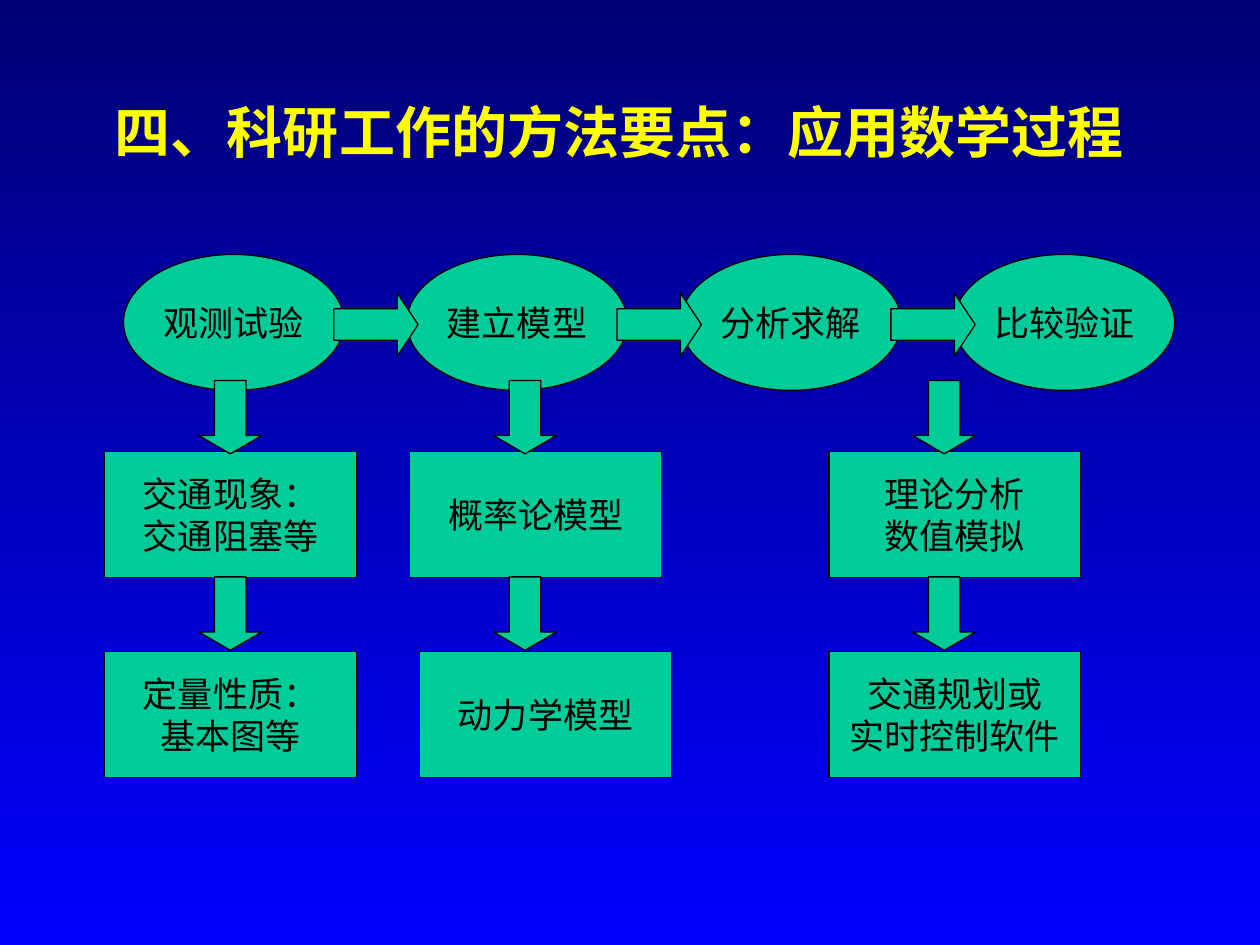
from dataclasses import dataclass

from pptx import Presentation
from pptx.dml.color import RGBColor
from pptx.enum.shapes import MSO_SHAPE as Shape
from pptx.enum.text import MSO_ANCHOR, MSO_AUTO_SIZE, PP_ALIGN
from pptx.util import Cm, Pt


@dataclass(frozen=True)
class Theme:
    font: str = "Times New Roman"
    title_size: int = 32
    label_size: int = 20
    title: str = "FFFF00"
    text: str = "000000"
    fill: str = "00CC99"
    line: str = "000000"
    sky: tuple = ("000075", "0000FF")


theme = Theme()


def write(tf, text, size=theme.label_size, color=theme.text, bold=False, wrap=False):
    """Fill a text frame with centred text, one paragraph per line."""
    tf.word_wrap = wrap
    tf.auto_size = MSO_AUTO_SIZE.NONE
    tf.vertical_anchor = MSO_ANCHOR.MIDDLE
    for i, line in enumerate(text.split("\n")):
        p = tf.paragraphs[0] if i == 0 else tf.add_paragraph()
        p.alignment = PP_ALIGN.CENTER
        r = p.add_run()
        r.text = line
        r.font.name = theme.font
        r.font.size = Pt(size)
        r.font.bold = bold
        r.font.color.rgb = RGBColor.from_string(color)


def add_block(kind, x, y, w, h, text=None, adjustments=()):
    """Add a green outlined shape; lengths are in centimetres."""
    sp = s.shapes.add_shape(kind, Cm(x), Cm(y), Cm(w), Cm(h))
    sp.shadow.inherit = False
    sp.fill.solid()
    sp.fill.fore_color.rgb = RGBColor.from_string(theme.fill)
    sp.line.color.rgb = RGBColor.from_string(theme.line)
    sp.line.width = Pt(0.75)
    for i, value in enumerate(adjustments):
        sp.adjustments[i] = value
    if text:
        write(sp.text_frame, text)


prs = Presentation()
prs.slide_width, prs.slide_height = Cm(25.4), Cm(19.05)
s = prs.slides.add_slide(prs.slide_layouts[5])

background = s.background.fill
background.gradient()
background.gradient_angle = 270
for stop, color in zip(background.gradient_stops, theme.sky):
    stop.color.rgb = RGBColor.from_string(color)

title = s.shapes.title
title.left, title.top, title.width, title.height = Cm(0.69), Cm(1.7), Cm(23.6), Cm(1.9)
write(title.text_frame, "四、科研工作的方法要点：应用数学过程",
      size=theme.title_size, color=theme.title, bold=True, wrap=True)

# Main process: four stages joined by arrows
stages = [(2.49, "观测试验"), (8.2, "建立模型"), (13.72, "分析求解"), (19.23, "比较验证")]
for x, text in stages:
    add_block(Shape.OVAL, x, 5.13, 4.45, 2.74, text)
for x, _ in stages[:-1]:
    add_block(Shape.RIGHT_ARROW, x + 4.24, 5.91, 1.7, 1.27, adjustments=(0.5, 0.33))

# Details under the stages: (box x, text) for both rows, then the arrow x
box_tops = (9.1, 13.13)
arrow_tops = (7.67, 11.63)
columns = [
    ([(2.11, "交通现象：\n交通阻塞等"), (2.11, "定量性质：\n基本图等")], 4.01),
    ([(8.26, "概率论模型"), (8.46, "动力学模型")], 9.95),
    ([(16.71, "理论分析\n数值模拟"), (16.71, "交通规划或\n实时控制软件")], 18.4),
]
for boxes, arrow_x in columns:
    for (x, text), y in zip(boxes, box_tops):
        add_block(Shape.RECTANGLE, x, y, 5.08, 2.54, text)
    for y in arrow_tops:
        add_block(Shape.DOWN_ARROW, arrow_x, y, 1.27, 1.48, adjustments=(0.5, 0.29))

prs.save("out.pptx")
